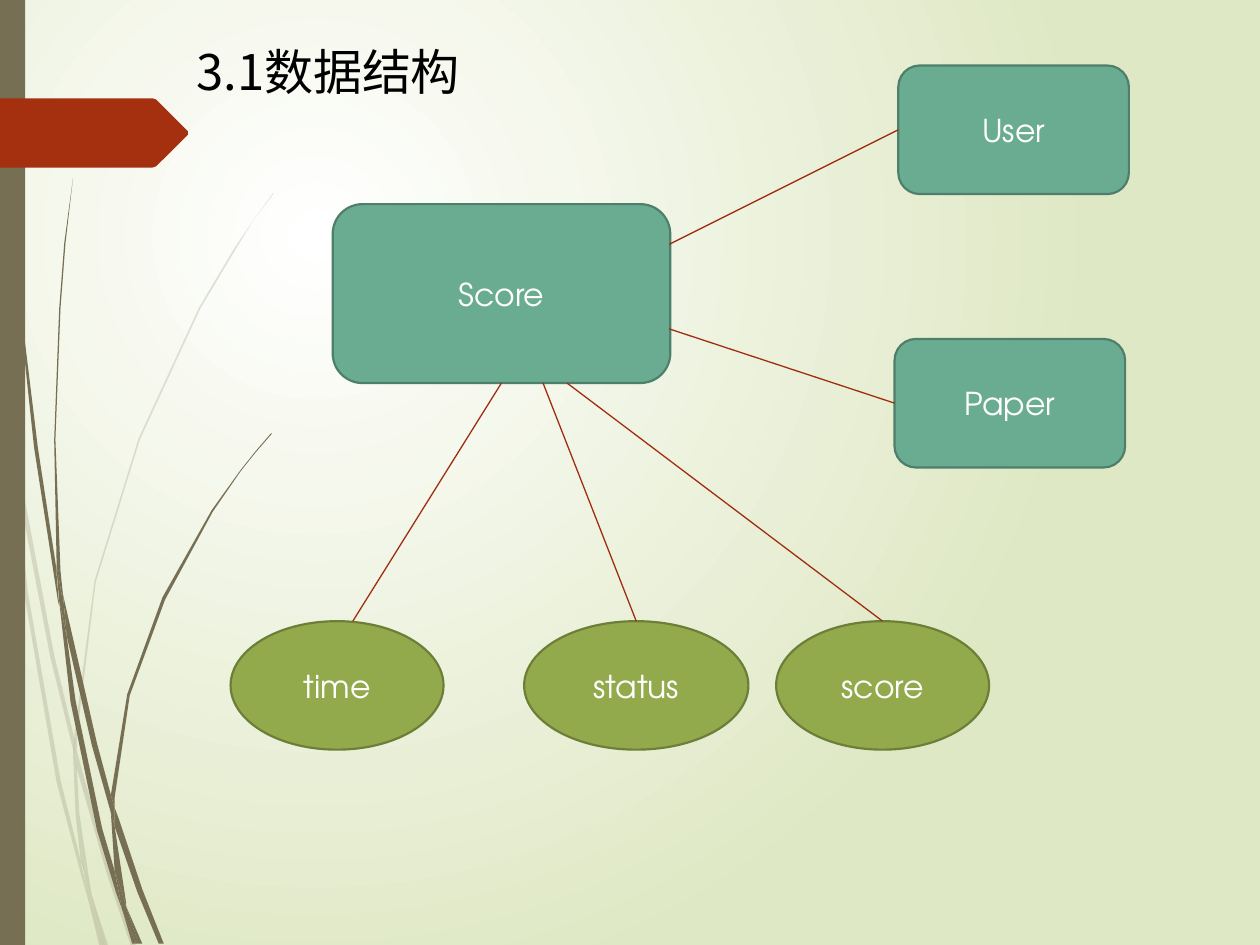
from lxml import etree
from pptx import Presentation
from pptx.dml.color import RGBColor
from pptx.enum.shapes import MSO_CONNECTOR, MSO_SHAPE
from pptx.enum.text import MSO_ANCHOR, PP_ALIGN
from pptx.oxml.ns import qn
from pptx.util import Cm, Pt

RECTANGLE = MSO_SHAPE.RECTANGLE
ROUNDED = MSO_SHAPE.ROUNDED_RECTANGLE
OVAL = MSO_SHAPE.OVAL
STRAIGHT = MSO_CONNECTOR.STRAIGHT
MIDDLE = MSO_ANCHOR.MIDDLE
CENTER = PP_ALIGN.CENTER
TOP, LEFT, BOTTOM = 0, 1, 2

WHITE = RGBColor(0xFF, 0xFF, 0xFF)
BLACK = RGBColor(0, 0, 0)
PALE_GREEN = RGBColor(0xDF, 0xE8, 0xC4)
BROWN = RGBColor(0x76, 0x6F, 0x54)
RED = RGBColor(0xA5, 0x30, 0x10)
DARK_RED = RGBColor(0x9E, 0x2E, 0x0F)
TEAL = RGBColor(0x6A, 0xAC, 0x91)
DARK_TEAL = RGBColor(0x4E, 0x7F, 0x6B)
GREEN = RGBColor(0x92, 0xAA, 0x4C)
DARK_GREEN = RGBColor(0x6C, 0x7E, 0x38)

TITLE = "3.1数据结构"
TITLE_FONT = "Noto Sans CJK SC"
NODE_FONT = "TeX Gyre Adventor"

# Lengths are in hundredths of an inch.
UNIT = 0.0254
ENTITY = (ROUNDED, TEAL, DARK_TEAL)
ATTRIBUTE = (OVAL, GREEN, DARK_GREEN)
NODES = [
    ("Score", ENTITY, (264, 162, 268, 142)),
    ("time", ATTRIBUTE, (183, 493, 169, 102)),
    ("User", ENTITY, (713, 52, 183, 102)),
    ("status", ATTRIBUTE, (416, 493, 178, 102)),
    ("score", ATTRIBUTE, (616, 493, 169, 102)),
    ("Paper", ENTITY, (710, 269, 183, 102)),
]
LINKS = [
    ((398, 304), (280, 493), ("Score", BOTTOM), None),
    ((531, 194), (713, 103), None, ("User", LEFT)),
    ((450, 304), (700, 493), None, ("score", TOP)),
    ((431, 304), (505, 493), None, ("status", TOP)),
    ((531, 261), (710, 320), None, ("Paper", LEFT)),
]
RIBBON = [(149, 107), (124, 132), (121, 133), (0, 133), (0, 78), (121, 78), (124, 79), (149, 104)]
FAINT_STEMS = [
    [(8, 350), (6, 322), (0, 282), (0, 299), (7, 344)],
    [(40, 522), (59, 599), (59, 586), (43, 520), (10, 345), (12, 376)],
    [(64, 607), (61, 596), (61, 610), (85, 694), (104, 751), (108, 751), (88, 692)],
    [(83, 751), (86, 751), (73, 711)],
    [(64, 683), (48, 619), (22, 469), (12, 376), (8, 350), (19, 470), (45, 621),
     (64, 693), (70, 714), (69, 707)],
    [(58, 599), (60, 646), (64, 683), (67, 692), (73, 711), (72, 706), (63, 646),
     (61, 610), (61, 608)],
    [(61, 584), (76, 462), (111, 349), (159, 245), (187, 198), (201, 175), (217, 154),
     (217, 153), (201, 175), (186, 197), (158, 244), (110, 348), (75, 461), (59, 584),
     (59, 586), (61, 596)],
    [(70, 714), (79, 751), (82, 751)],
    [(61, 608), (61, 610), (61, 596), (59, 586), (58, 599)],
    [(67, 692), (65, 683), (69, 707), (70, 714), (82, 751), (83, 751), (73, 711)],
]
STEMS = [
    [(5, 110), (14, 233), (27, 355), (46, 477), (47, 481), (45, 457), (45, 453),
     (30, 355), (15, 232), (6, 109), (4, 48), (3, 0), (2, 0), (3, 48)],
    [(73, 592), (88, 645), (88, 633), (88, 631), (77, 590), (50, 472), (53, 505)],
    [(94, 649), (91, 641), (91, 656), (109, 708), (126, 749), (130, 749), (113, 706)],
    [(91, 691), (81, 657), (60, 556), (53, 505), (47, 477), (56, 557), (77, 659),
     (92, 708), (97, 722), (96, 717)],
    [(50, 472), (48, 453), (44, 349), (48, 245), (52, 193), (58, 141), (51, 193),
     (47, 245), (43, 349), (45, 449), (49, 472)],
    [(110, 749), (113, 749), (100, 719)],
    [(47, 477), (53, 505), (50, 472), (49, 472), (45, 449), (45, 453)],
    [(91, 633), (103, 552), (131, 476), (169, 406), (191, 374), (203, 359), (216, 344),
     (215, 344), (203, 358), (191, 373), (168, 405), (129, 474), (101, 551), (88, 631),
     (91, 641)],
    [(97, 722), (105, 749), (108, 749)],
    [(88, 645), (91, 691), (96, 706), (100, 719), (100, 716), (91, 656), (90, 651)],
    [(88, 645), (90, 651), (91, 656), (91, 641), (88, 631), (88, 633)],
    [(96, 706), (91, 691), (96, 717), (97, 722), (108, 749), (110, 749), (100, 719)],
]


def lengths(values):
    return [Cm(value * UNIT) for value in values]


def paint(shape, color, line_color=None):
    shape.shadow.inherit = False
    shape.fill.solid()
    shape.fill.fore_color.rgb = color
    if line_color is None:
        shape.line.fill.background()
    else:
        shape.line.color.rgb = line_color
        shape.line.width = Pt(1.25)


def style_text(paragraph, name, size, color):
    paragraph.font.size = Pt(size)
    paragraph.font.color.rgb = color
    paragraph.font.name = name


def paint_background(slide):
    fill = slide.background.fill
    fill.gradient()
    for stop, position, color in zip(fill.gradient_stops, (0, 1), (WHITE, PALE_GREEN)):
        stop.position = position
        stop.color.rgb = color
    gradient = slide.element.find(".//" + qn("a:gradFill"))
    gradient.remove(gradient.find(qn("a:lin")))
    circle = etree.SubElement(gradient, qn("a:path"), path="circle")
    etree.SubElement(circle, qn("a:fillToRect"), l="50000", t="50000", r="100000", b="100000")


def add_outline(shapes, points, color, opacity=100):
    builder = shapes.build_freeform(*points[0], scale=Cm(UNIT))
    builder.add_line_segments(points[1:], close=True)
    shape = builder.convert_to_shape()
    paint(shape, color)
    if opacity < 100:
        fill_color = shape.element.spPr.find(qn("a:solidFill"))[0]
        etree.SubElement(fill_color, qn("a:alpha"), val=str(opacity * 1000))


def add_title(shapes):
    box = shapes.add_textbox(*lengths((146, 28, 233, 57)))
    box.text_frame.word_wrap = True
    paragraph = box.text_frame.paragraphs[0]
    paragraph.text = TITLE
    style_text(paragraph, TITLE_FONT, 28, BLACK)
    properties = box.element.find(".//" + qn("a:defRPr"))
    etree.SubElement(properties, qn("a:ea"), typeface=TITLE_FONT)


def add_node(shapes, label, style, bounds):
    kind, color, line_color = style
    shape = shapes.add_shape(kind, *lengths(bounds))
    paint(shape, color, line_color)
    shape.text_frame.vertical_anchor = MIDDLE
    paragraph = shape.text_frame.paragraphs[0]
    paragraph.text = label
    paragraph.alignment = CENTER
    style_text(paragraph, NODE_FONT, 18, WHITE)
    return shape


def add_link(shapes, nodes, start, end, start_joint, end_joint):
    connector = shapes.add_connector(STRAIGHT, *lengths(start + end))
    connector.line.color.rgb = DARK_RED
    connector.line.width = Pt(0.75)
    etree.SubElement(connector.element.spPr, qn("a:effectLst"))
    if start_joint:
        connector.begin_connect(nodes[start_joint[0]], start_joint[1])
    if end_joint:
        connector.end_connect(nodes[end_joint[0]], end_joint[1])


def main():
    presentation = Presentation()
    presentation.slide_width, presentation.slide_height = Cm(25.4), Cm(19.05)
    slide = presentation.slides.add_slide(presentation.slide_layouts[6])
    shapes = slide.shapes
    paint_background(slide)
    for points in FAINT_STEMS:
        add_outline(shapes, points, BROWN, 20)
    for points in STEMS:
        add_outline(shapes, points, BROWN)
    paint(shapes.add_shape(RECTANGLE, *lengths((0, 0, 20, 750))), BROWN)
    add_outline(shapes, RIBBON, RED)
    add_title(shapes)
    nodes = {node[0]: add_node(shapes, *node) for node in NODES}
    for link in LINKS:
        add_link(shapes, nodes, *link)
    presentation.save("out.pptx")


if __name__ == "__main__":
    main()
